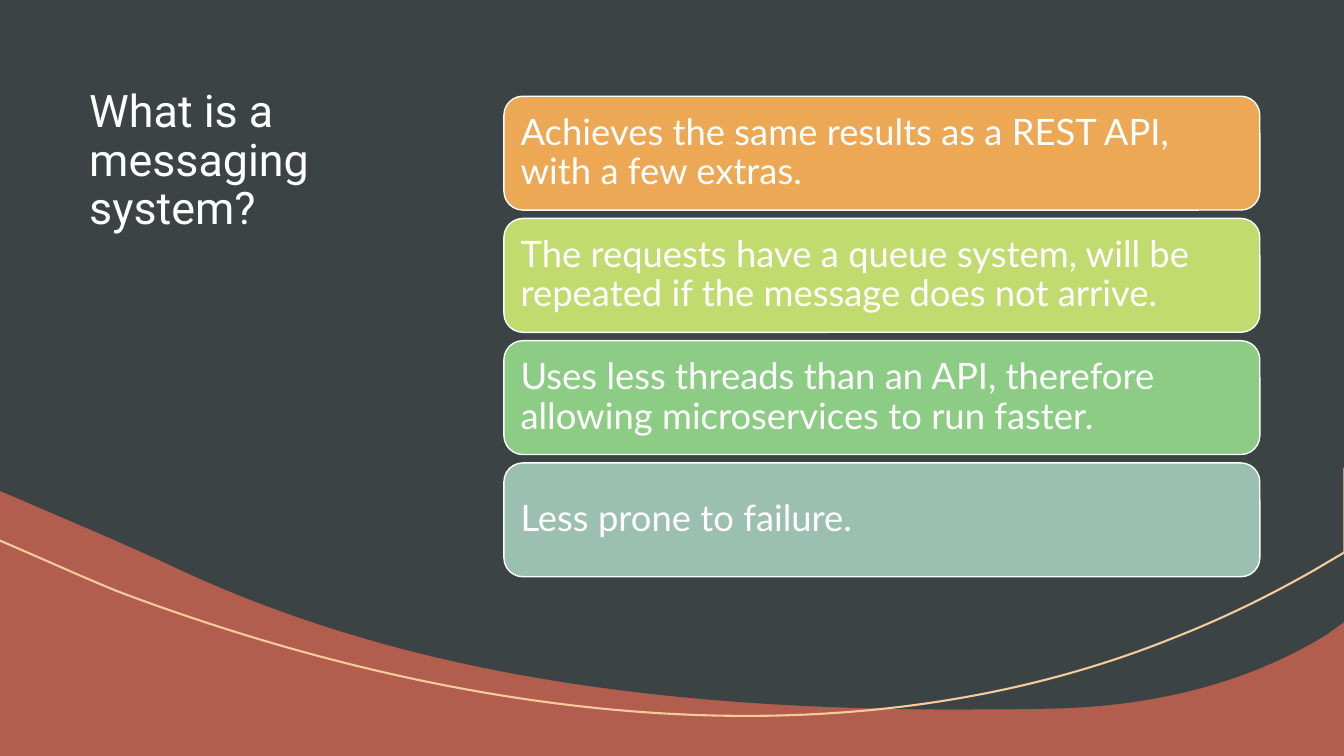
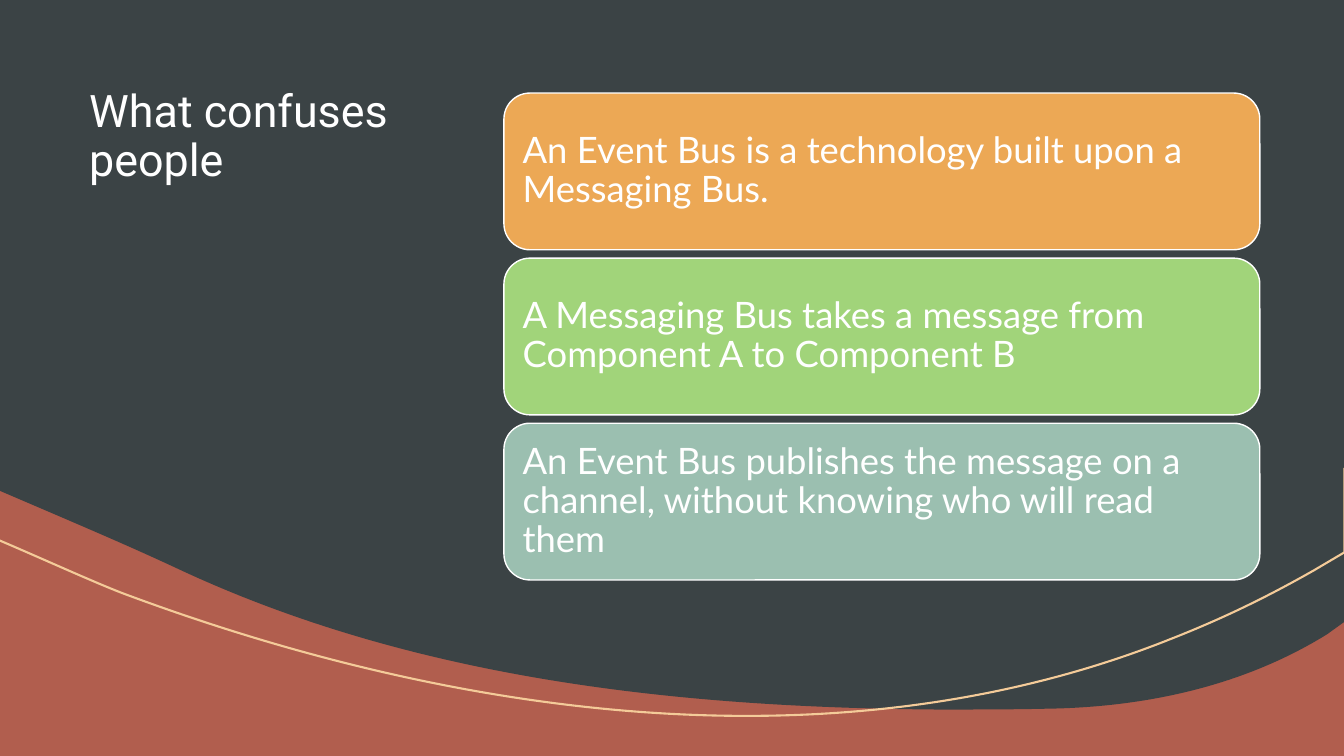
from dataclasses import dataclass
from typing import NamedTuple

from lxml.etree import SubElement
from pptx import Presentation
from pptx.dml.color import RGBColor
from pptx.enum.shapes import MSO_SHAPE
from pptx.enum.text import MSO_ANCHOR, PP_ALIGN
from pptx.oxml.ns import qn
from pptx.shapes.autoshape import Shape
from pptx.slide import Slide
from pptx.text.text import TextFrame
from pptx.util import Cm, Pt


@dataclass(frozen=True)
class Theme:
    terracotta: RGBColor = RGBColor.from_string("B15E4E")
    slate: RGBColor = RGBColor.from_string("3B4345")
    sand: RGBColor = RGBColor.from_string("F4CB99")
    white: RGBColor = RGBColor.from_string("FFFFFF")
    orange: RGBColor = RGBColor.from_string("ECA855")
    lime: RGBColor = RGBColor.from_string("C2DB6E")
    leaf: RGBColor = RGBColor.from_string("A1D47A")
    green: RGBColor = RGBColor.from_string("8CCC85")
    sage: RGBColor = RGBColor.from_string("9BBFB0")
    title_font: str = "Roboto"
    body_font: str = "Lato"
    title_size: float = 32
    body_size: float = 26
    line_spacing: float = 0.9
    card_line: float = 1
    wave_line: float = 1.5


THEME = Theme()


class Point(NamedTuple):
    x: float
    y: float


class Card(NamedTuple):
    text: str
    color: RGBColor


@dataclass(frozen=True)
class Topic:
    title: str
    card_height: float
    cards: tuple[Card, ...]


# Lengths in centimetres
SLIDE_WIDTH, SLIDE_HEIGHT = 33.87, 19.05
CARD_LEFT, CARD_WIDTH, CARD_GAP, CARD_INSET = 12.7, 19.05, 0.21, 0.28
STACK_MIDDLE = 8.48

# Each segment holds one point (straight) or three points (cubic curve)
Segment = tuple[Point, ...]
SLATE_START = Point(0, 0)
SLATE_SEGMENTS: tuple[Segment, ...] = (
    (Point(33.88, 0),),
    (Point(33.88, 15.67),),
    (Point(33.45, 15.98),),
    (Point(31.29, 17.32), Point(28.78, 17.83), Point(26.34, 17.86)),
    (Point(25.45, 17.88), Point(24.54, 17.88), Point(23.62, 17.88)),
    (Point(17.2, 17.83), Point(10.52, 17.15), Point(4.52, 14.35)),
    (Point(3.43, 13.84), Point(2.31, 13.36), Point(1.19, 12.88)),
    (Point(0, 12.37),),
)
WAVE_START = Point(33.88, 11.79)
WAVE_SEGMENTS: tuple[Segment, ...] = (
    (Point(33.88, 13.92),),
    (Point(33.1, 14.38),),
    (Point(32.11, 14.94), Point(30.99, 15.52), Point(29.51, 16.1)),
    (Point(26.13, 17.45), Point(22.51, 18.04), Point(18.81, 18.04)),
    (Point(13.6, 18.04), Point(8.24, 16.86), Point(3.2, 14.99)),
    (Point(2.49, 14.73), Point(0.94, 14.02), Point(-0.08, 13.59)),
)

TOPICS = (
    Topic("What is a messaging system?", 2.87, (
        Card("Achieves the same results as a REST API, with a few extras.", THEME.orange),
        Card("The requests have a queue system, will be repeated if the message "
             "does not arrive.", THEME.lime),
        Card("Uses less threads than an API, therefore allowing microservices "
             "to run faster.", THEME.green),
        Card("Less prone to failure.", THEME.sage),
    )),
    Topic("What confuses people", 3.95, (
        Card("An Event Bus is a technology built upon a Messaging Bus.", THEME.orange),
        Card("A Messaging Bus takes a message from Component A to Component B", THEME.leaf),
        Card("An Event Bus publishes the message on a channel, without knowing "
             "who will read them", THEME.sage),
    )),
)


def paint(shape: Shape, color: RGBColor) -> None:
    shape.fill.solid()
    shape.fill.fore_color.rgb = color


def stroke(shape: Shape, color: RGBColor, width: float) -> None:
    shape.line.color.rgb = color
    shape.line.width = Pt(width)


def add_preset(slide: Slide, kind: MSO_SHAPE, left: float, top: float,
               width: float, height: float, color: RGBColor) -> Shape:
    shape = slide.shapes.add_shape(kind, Cm(left), Cm(top), Cm(width), Cm(height))
    shape.shadow.inherit = False
    paint(shape, color)
    return shape


def add_outline(slide: Slide, start: Point, segments: tuple[Segment, ...],
                close: bool) -> Shape:
    builder = slide.shapes.build_freeform(Cm(start.x), Cm(start.y))
    builder.add_line_segments(
        [(Cm(point.x), Cm(point.y)) for segment in segments for point in segment],
        close=close)
    shape = builder.convert_to_shape()
    shape.shadow.inherit = False

    # Join each run of three points into one cubic curve
    steps = iter(list(shape.element.iter(qn("a:lnTo"))))
    for segment in segments:
        group = [next(steps) for _ in segment]
        if len(group) == 3:
            parent = group[0].getparent()
            curve = SubElement(parent, qn("a:cubicBezTo"))
            parent.replace(group[0], curve)
            for step in group:
                curve.append(step[0])
            for step in group[1:]:
                parent.remove(step)
    return shape


def add_backdrop(slide: Slide) -> None:
    slide.background.fill.solid()
    slide.background.fill.fore_color.rgb = THEME.terracotta

    # Full-page panel
    panel = add_preset(slide, MSO_SHAPE.RECTANGLE, 0, 0, SLIDE_WIDTH, SLIDE_HEIGHT,
                       THEME.terracotta)
    panel.line.fill.background()

    # Dark area above the wave
    slate = add_outline(slide, SLATE_START, SLATE_SEGMENTS, close=True)
    paint(slate, THEME.slate)
    slate.line.fill.background()

    # Thin accent line
    wave = add_outline(slide, WAVE_START, WAVE_SEGMENTS, close=False)
    wave.fill.background()
    stroke(wave, THEME.sand, THEME.wave_line)


def write_text(frame: TextFrame, text: str, font: str, size: float) -> None:
    frame.word_wrap = True
    paragraph = frame.paragraphs[0]
    paragraph.alignment = PP_ALIGN.LEFT
    paragraph.line_spacing = THEME.line_spacing
    run = paragraph.add_run()
    run.text = text
    run.font.name = font
    run.font.size = Pt(size)
    run.font.color.rgb = THEME.white


def add_title(slide: Slide, title: str) -> None:
    shape = slide.shapes.add_textbox(Cm(2), Cm(2.12), Cm(10), Cm(6.35))
    write_text(shape.text_frame, title, THEME.title_font, THEME.title_size)


def add_card(slide: Slide, card: Card, top: float, height: float) -> None:
    shape = add_preset(slide, MSO_SHAPE.ROUNDED_RECTANGLE, CARD_LEFT, top,
                       CARD_WIDTH, height, card.color)
    stroke(shape, THEME.white, THEME.card_line)
    frame = shape.text_frame
    frame.vertical_anchor = MSO_ANCHOR.MIDDLE
    frame.margin_left = frame.margin_right = Cm(CARD_INSET)
    frame.margin_top = frame.margin_bottom = Cm(CARD_INSET)
    write_text(frame, card.text, THEME.body_font, THEME.body_size)


def add_topic(slide: Slide, topic: Topic) -> None:
    add_backdrop(slide)
    add_title(slide, topic.title)

    # Stack of cards, centred on one height
    pitch = topic.card_height + CARD_GAP
    stack_top = STACK_MIDDLE - (len(topic.cards) * pitch - CARD_GAP) / 2
    for index, card in enumerate(topic.cards):
        add_card(slide, card, stack_top + index * pitch, topic.card_height)


def main() -> None:
    presentation = Presentation()
    presentation.slide_width = Cm(SLIDE_WIDTH)
    presentation.slide_height = Cm(SLIDE_HEIGHT)
    blank = presentation.slide_layouts[6]
    for topic in TOPICS:
        add_topic(presentation.slides.add_slide(blank), topic)
    presentation.save("out.pptx")


if __name__ == "__main__":
    main()
